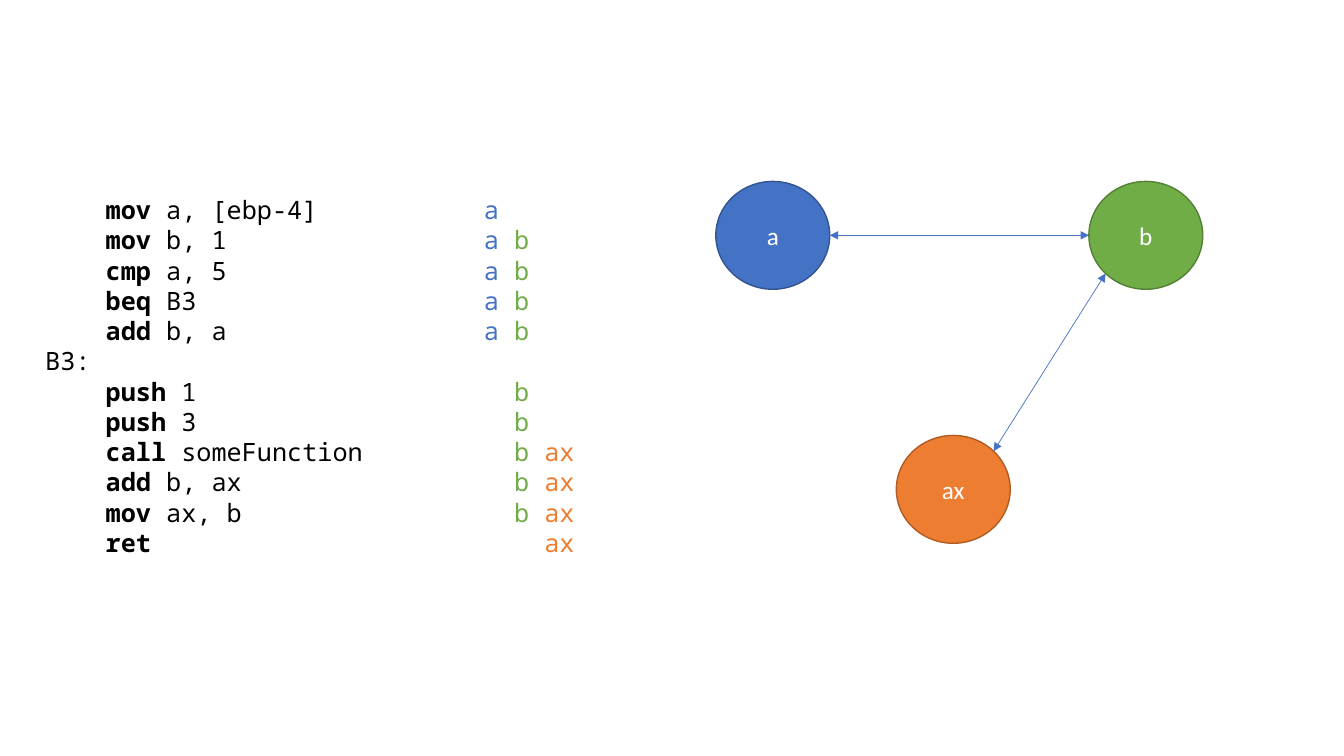
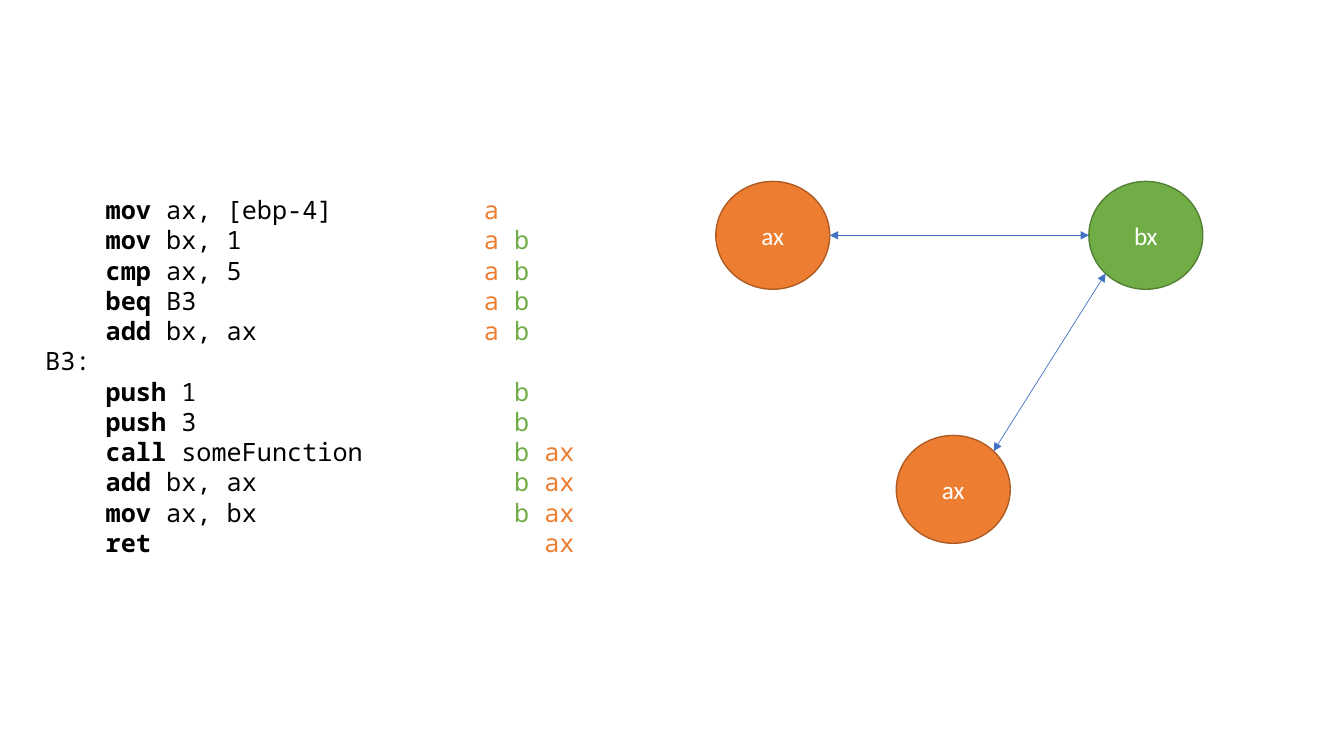
from math import cos, radians, sin

from lxml.etree import SubElement
from pptx import Presentation
from pptx.dml.color import RGBColor
from pptx.enum.shapes import MSO_CONNECTOR as Connector, MSO_SHAPE as Shape
from pptx.enum.text import MSO_ANCHOR as Anchor, MSO_AUTO_SIZE as AutoSize, PP_ALIGN as Align
from pptx.oxml.ns import qn
from pptx.util import Inches, Pt

COLORS = {
    "black": "000000", "white": "FFFFFF",
    "blue": "4472C4", "blue edge": "325491",
    "green": "70AD47", "green edge": "538035",
    "orange": "ED7D31", "orange edge": "AF5C24",
}
CODE_FONT, NODE_FONT = "Noto Sans Mono", "Calibri"

LABEL = "B3:"
PROGRAM = [
    ("mov", "{a}, [ebp-4]", ["a"]),
    ("mov", "{b}, 1", ["a", "b"]),
    ("cmp", "{a}, 5", ["a", "b"]),
    ("beq", "B3", ["a", "b"]),
    ("add", "{b}, {a}", ["a", "b"]),
    (LABEL, "", []),
    ("push", "1", ["b"]),
    ("push", "3", ["b"]),
    ("call", "someFunction", ["b", "ax"]),
    ("add", "{b}, ax", ["b", "ax"]),
    ("mov", "ax, {b}", ["b", "ax"]),
    ("ret", "", ["ax"]),
]
ALLOCATIONS = [
    {"a": ("a", "blue"), "b": ("b", "green"), "ax": ("ax", "orange")},
    {"a": ("ax", "orange"), "b": ("bx", "green"), "ax": ("ax", "orange")},
]
NODES = {"a": (7.1, 1.8), "b": (10.8, 1.8), "ax": (8.89, 4.32)}
EDGES = [("ax", -45, "b", 135), ("a", 0, "b", 180)]

NODE_WIDTH, NODE_HEIGHT = 1.13, 1.07
CODE_BOX = (0.35, 1.88, 5.73, 3.74)
CHARACTER = 0.15
INSTRUCTION_COLUMN = 4
LIVE_COLUMNS = {"a": 29, "b": 31, "ax": 33}


def rgb(name):
    return RGBColor.from_string(COLORS[name])


def add_text(paragraph, text, font=CODE_FONT, size=18, color="black", bold=False):
    run = paragraph.add_run()
    run.text = text
    run.font.name = font
    run.font.size = Pt(size)
    run.font.bold = bold
    run.font.color.rgb = rgb(color)


def set_tabs(paragraph):
    tab_list = SubElement(paragraph._p.get_or_add_pPr(), qn("a:tabLst"))
    for column in (INSTRUCTION_COLUMN, *LIVE_COLUMNS.values()):
        position = Inches(column * CHARACTER)
        SubElement(tab_list, qn("a:tab"), pos=str(position), algn="l")


def add_code(slide, allocation):
    frame = slide.shapes.add_textbox(*map(Inches, CODE_BOX)).text_frame
    frame.word_wrap = True
    frame.auto_size = AutoSize.SHAPE_TO_FIT_TEXT
    registers = {variable: name for variable, (name, color) in allocation.items()}
    for index, (operation, operands, live) in enumerate(PROGRAM):
        paragraph = frame.add_paragraph() if index else frame.paragraphs[0]
        set_tabs(paragraph)
        if operation == LABEL:
            add_text(paragraph, LABEL)
            continue
        add_text(paragraph, "\t" + operation, bold=True)
        if operands:
            add_text(paragraph, " " + operands.format(**registers))
        tabs = ""
        for variable in LIVE_COLUMNS:
            tabs += "\t"
            if variable in live:
                add_text(paragraph, tabs + variable, color=allocation[variable][1])
                tabs = ""


def add_node(slide, position, name, color):
    box = (*position, NODE_WIDTH, NODE_HEIGHT)
    node = slide.shapes.add_shape(Shape.OVAL, *map(Inches, box))
    node.shadow.inherit = False
    node.fill.solid()
    node.fill.fore_color.rgb = rgb(color)
    node.line.color.rgb = rgb(color + " edge")
    node.line.width = Pt(1)
    node.text_frame.vertical_anchor = Anchor.MIDDLE
    paragraph = node.text_frame.paragraphs[0]
    paragraph.alignment = Align.CENTER
    add_text(paragraph, name, font=NODE_FONT, color="white")


def rim_point(variable, degrees):
    left, top = NODES[variable]
    angle = radians(degrees)
    return (left + NODE_WIDTH / 2 * (1 + cos(angle)),
            top + NODE_HEIGHT / 2 * (1 + sin(angle)))


def add_edge(slide, start, start_angle, end, end_angle):
    points = rim_point(start, start_angle) + rim_point(end, end_angle)
    edge = slide.shapes.add_connector(Connector.STRAIGHT, *map(Inches, points))
    edge.line.color.rgb = rgb("blue")
    edge.line.width = Pt(0.5)
    for tag in ("a:headEnd", "a:tailEnd"):
        SubElement(edge.line._get_or_add_ln(), qn(tag), type="triangle")
    SubElement(edge._element.spPr, qn("a:effectLst"))


presentation = Presentation()
presentation.slide_width = Inches(13.33)
presentation.slide_height = Inches(7.5)
for allocation in ALLOCATIONS:
    slide = presentation.slides.add_slide(presentation.slide_layouts[6])
    add_code(slide, allocation)
    for variable, position in NODES.items():
        add_node(slide, position, *allocation[variable])
    for edge in EDGES:
        add_edge(slide, *edge)
presentation.save("out.pptx")
